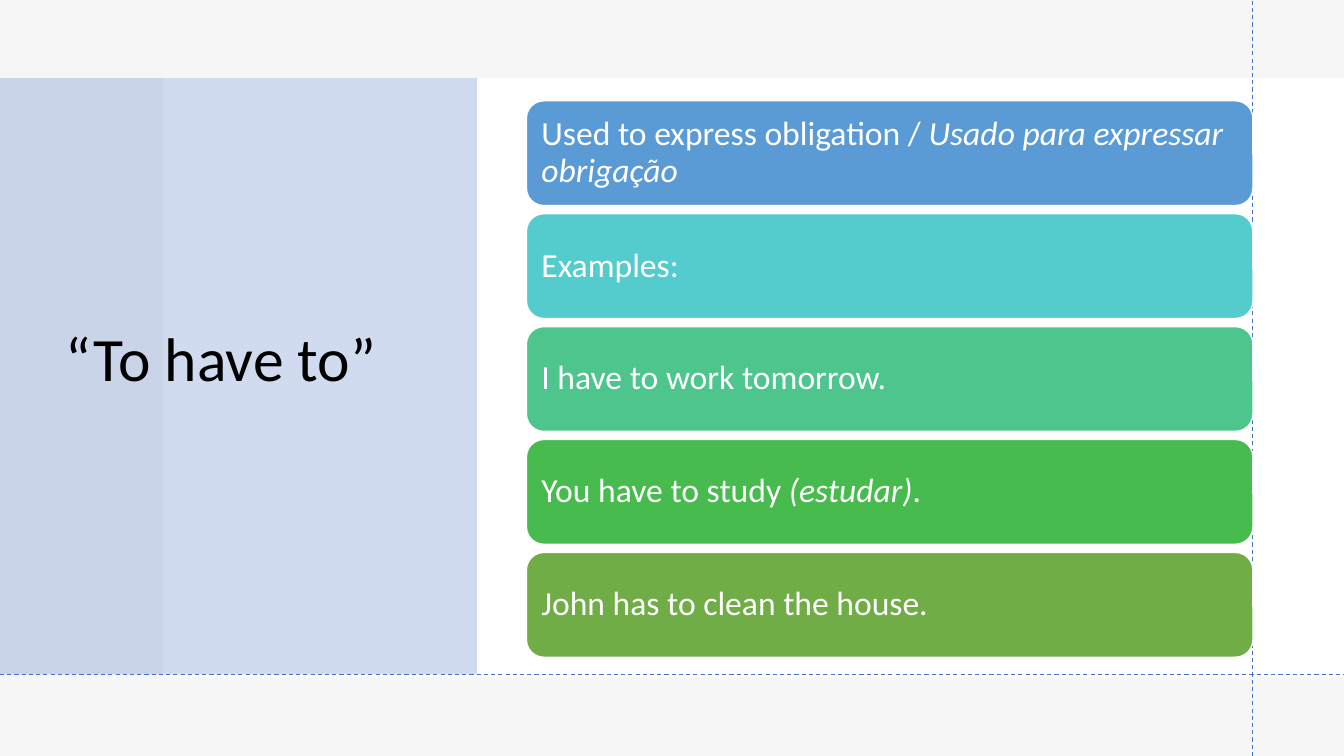
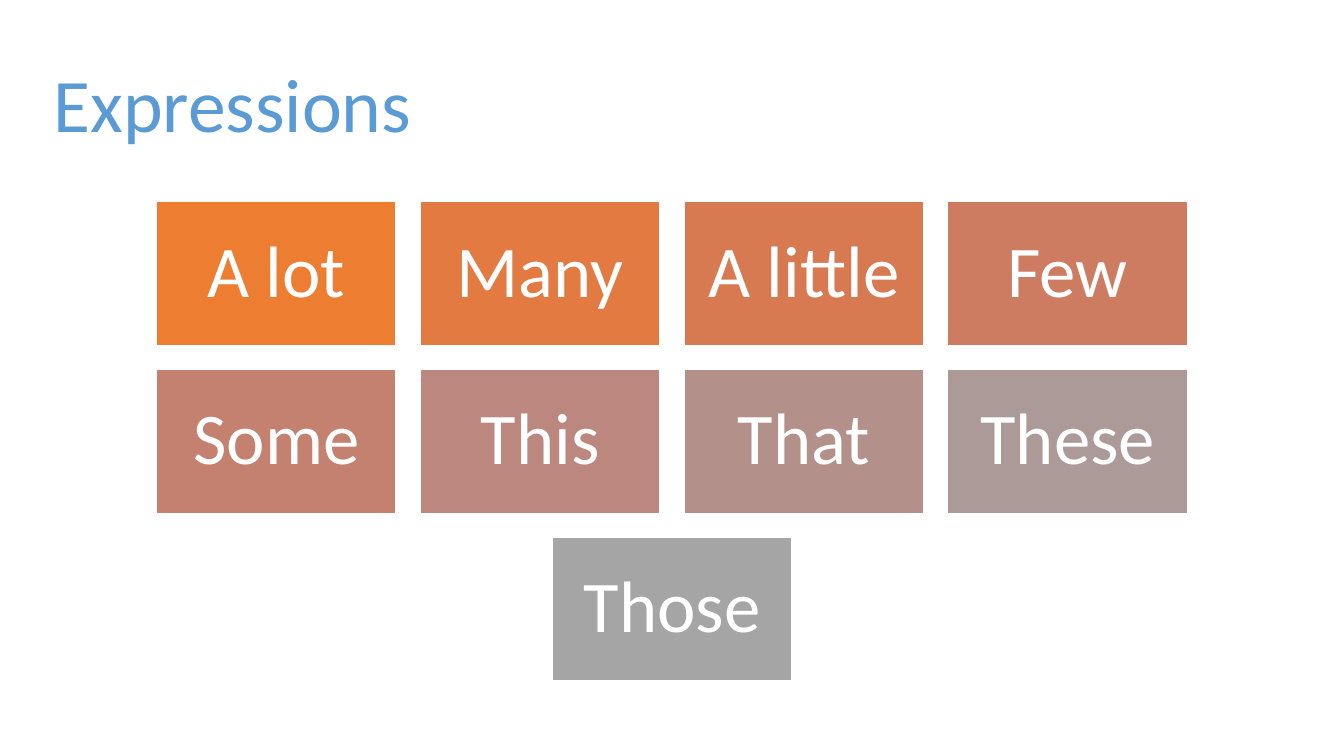
import lxml.etree
import pptx
import pptx.dml.color
import pptx.enum.dml
import pptx.enum.shapes
import pptx.enum.text
import pptx.oxml.ns
import pptx.util

Pt = pptx.util.Pt
RGBColor = pptx.dml.color.RGBColor
MSO_SHAPE = pptx.enum.shapes.MSO_SHAPE
PP_ALIGN = pptx.enum.text.PP_ALIGN
qn = pptx.oxml.ns.qn

SLIDE_WIDTH, SLIDE_HEIGHT = 960, 540
FONT = "Calibri"
TITLE_ONLY = 5

WHITE = RGBColor(0xFF, 0xFF, 0xFF)
BLACK = RGBColor(0x00, 0x00, 0x00)
GREY = RGBColor(0xE7, 0xE6, 0xE6)
ROYAL = RGBColor(0x44, 0x72, 0xC4)
SKY = RGBColor(0x5B, 0x9B, 0xD5)
CARD_COLOURS = [
    SKY,
    RGBColor(0x54, 0xCC, 0xCD),
    RGBColor(0x4D, 0xC5, 0x8D),
    RGBColor(0x48, 0xBB, 0x4F),
    RGBColor(0x70, 0xAD, 0x47),
]
TILE_COLOURS = [
    RGBColor(0xED, 0x7D, 0x31),
    RGBColor(0xE2, 0x7A, 0x42),
    RGBColor(0xD8, 0x7A, 0x51),
    RGBColor(0xCE, 0x7C, 0x61),
    RGBColor(0xC4, 0x81, 0x70),
    RGBColor(0xBC, 0x87, 0x7E),
    RGBColor(0xB4, 0x90, 0x8B),
    RGBColor(0xAC, 0x9A, 0x99),
    RGBColor(0xA5, 0xA5, 0xA5),
]

OBLIGATION_CARDS = [
    [("Used to express obligation / ", False), ("Usado para expressar obrigação", True)],
    [("Examples:", False)],
    [("I have to work tomorrow.", False)],
    [("You have to study ", False), ("(estudar)", True), (".", False)],
    [("John has to clean the house.", False)],
]
EXPRESSIONS = ["A lot", "Many", "A little", "Few", "Some", "This", "That", "These", "Those"]


def write_text(frame, phrases, size, colour, align):
    frame.word_wrap = True
    frame.auto_size = pptx.enum.text.MSO_AUTO_SIZE.NONE
    frame.vertical_anchor = pptx.enum.text.MSO_ANCHOR.MIDDLE
    paragraph = frame.paragraphs[0]
    paragraph.alignment = align
    paragraph.line_spacing = 0.9
    for words, italic in phrases:
        run = paragraph.add_run()
        run.text = words
        run.font.name = FONT
        run.font.size = Pt(size)
        run.font.italic = italic
        run.font.color.rgb = colour


def place_title(slide, box, words, size, colour):
    title = slide.shapes.title
    title.left, title.top, title.width, title.height = (Pt(length) for length in box)
    write_text(title.text_frame, [(words, False)], size, colour, PP_ALIGN.LEFT)
    title.element.getparent().append(title.element)


def add_block(slide, box, preset, fill):
    block = slide.shapes.add_shape(preset, *(Pt(length) for length in box))
    block.shadow.inherit = False
    block.fill.solid()
    block.fill.fore_color.rgb = fill
    return block


def add_panel(slide, box, fill, opacity=100):
    panel = add_block(slide, box, MSO_SHAPE.RECTANGLE, fill)
    panel.line.fill.background()
    if opacity < 100:
        colour = panel.element.spPr.find(qn("a:solidFill")).find(qn("a:srgbClr"))
        lxml.etree.SubElement(colour, qn("a:alpha")).set("val", str(opacity * 1000))


def add_label(slide, box, preset, fill, phrases, size, align, inset):
    label = add_block(slide, box, preset, fill)
    label.line.color.rgb = WHITE
    label.line.width = Pt(1)
    frame = label.text_frame
    frame.margin_left = frame.margin_right = Pt(inset)
    frame.margin_top = frame.margin_bottom = Pt(inset)
    write_text(frame, phrases, size, WHITE, align)


def add_guide(slide, start_x, start_y, end_x, end_y):
    guide = slide.shapes.add_connector(
        pptx.enum.shapes.MSO_CONNECTOR.STRAIGHT, Pt(start_x), Pt(start_y), Pt(end_x), Pt(end_y)
    )
    guide.line.color.rgb = ROYAL
    guide.line.width = Pt(0.75)
    guide.line.dash_style = pptx.enum.dml.MSO_LINE.DASH
    lxml.etree.SubElement(guide.element.spPr, qn("a:effectLst"))


def add_card_stack(slide, box, cards, gap):
    left, top, width, height = box
    card_height = (height - gap * (len(cards) - 1)) / len(cards)
    for row, (phrases, fill) in enumerate(zip(cards, CARD_COLOURS)):
        card_box = (left, top + row * (card_height + gap), width, card_height)
        add_label(slide, card_box, MSO_SHAPE.ROUNDED_RECTANGLE, fill, phrases, 24, PP_ALIGN.LEFT, 7.2)


def add_tile_grid(slide, box, words, columns):
    left, top, width, height = box
    rows = -(-len(words) // columns)
    gap = width / (11 * columns - 1)
    tile_width = 10 * gap
    tile_height = (height - gap * (rows - 1)) / rows
    for index, (word, fill) in enumerate(zip(words, TILE_COLOURS)):
        row, column = divmod(index, columns)
        in_row = min(columns, len(words) - row * columns)
        row_width = in_row * (tile_width + gap) - gap
        tile_left = left + (width - row_width) / 2 + column * (tile_width + gap)
        tile_box = (tile_left, top + row * (tile_height + gap), tile_width, tile_height)
        add_label(slide, tile_box, MSO_SHAPE.RECTANGLE, fill, [(word, False)], 52, PP_ALIGN.CENTER, 15)


def build_obligation_slide(slide, box):
    left, top, width, height = box
    band_top, band_bottom, guide_x = top + 55.8, top + 481.7, left + 895
    add_panel(slide, box, GREY, 35)
    add_panel(slide, (left + 116.5, band_top, width - 116.5, 428), WHITE)
    add_panel(slide, (left, band_top, 340.6, band_bottom - band_top), ROYAL, 25)
    place_title(slide, (left + 39.6, top + 53.3, 284.4, 409.7), "“To have to”", 44, BLACK)
    add_guide(slide, guide_x, top + height, guide_x, top)
    add_guide(slide, left, band_bottom, left + width, band_bottom)
    add_card_stack(slide, (left + 376, top + 72, 519, 397.5), OBLIGATION_CARDS, 5.75)


def build_expressions_slide(slide, box):
    left, top, width, height = box
    place_title(slide, (left + 31, top + 25.2, 898.6, 104.4), "Expressions", 54, SKY)
    add_tile_grid(slide, (left + 111.7, top + 144, 736.6, 342.6), EXPRESSIONS, 4)


def main():
    deck = pptx.Presentation()
    deck.slide_width, deck.slide_height = Pt(SLIDE_WIDTH), Pt(SLIDE_HEIGHT)
    for build in (build_obligation_slide, build_expressions_slide):
        slide = deck.slides.add_slide(deck.slide_layouts[TITLE_ONLY])
        build(slide, (0, 0, SLIDE_WIDTH, SLIDE_HEIGHT))
    deck.save("out.pptx")


if __name__ == "__main__":
    main()
